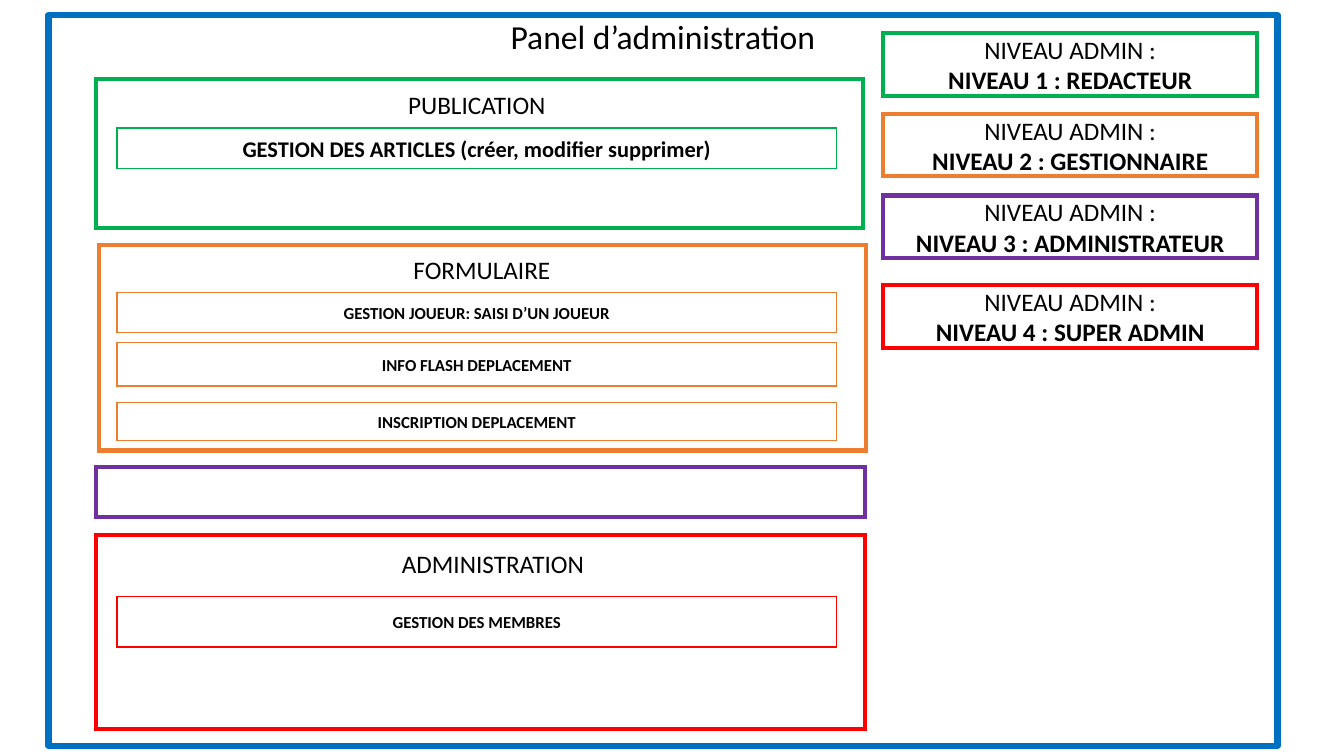
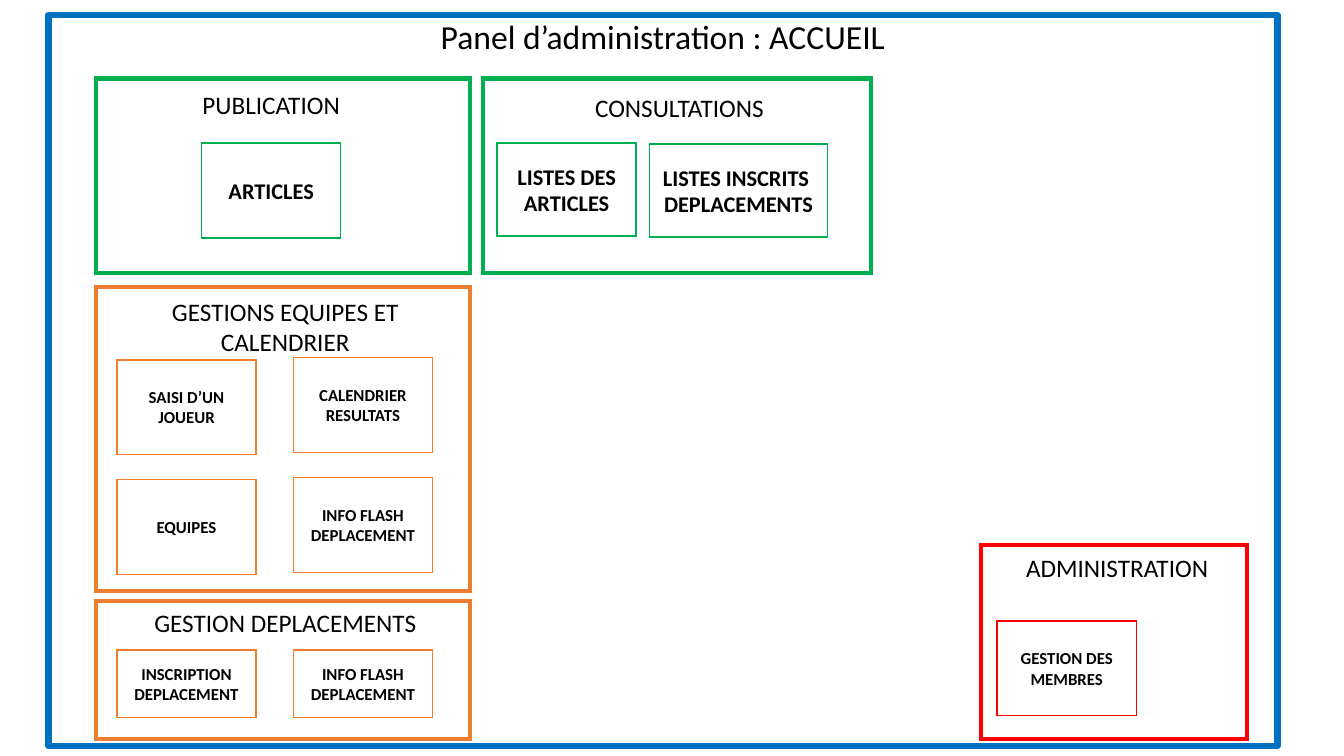
from lxml import etree
from pptx import Presentation
from pptx import util as u
from pptx.dml.color import RGBColor
from pptx.enum import shapes, text
from pptx.oxml.ns import qn

FONT = "Calibri"
BLACK, WHITE, BLUE = "000000", "FFFFFF", "0070C0"
GREEN, ORANGE, PURPLE, RED = "00B050", "ED7D31", "7030A0", "FF0000"
FRAME = (0.48, 0.15, 12.19, 7.25)
FRAME_WIDTH, PANEL_WIDTH, ITEM_WIDTH = 4.5, 3, 1

TITLE = {"size": u.Pt(24), "bold": False}
HEADING = {"size": u.Pt(18), "bold": False}
STRONG = {"size": u.Pt(18), "bold": True}
LARGE = {"size": u.Pt(16), "bold": True}
SMALL = {"size": u.Pt(12), "bold": True}

# Rows of slide 1 share a left edge and width; tiles of slide 2 share two columns
ROW_LEFT, ROW_WIDTH = 1.16, 7.14
COLUMNS, TILE_WIDTH, TILE_HEIGHT = (1.16, 2.91), 1.38, 0.94


def row(top, height):
    return ROW_LEFT, top, ROW_WIDTH, height


def tile(left, top, height=TILE_HEIGHT):
    return left, top, TILE_WIDTH, height


LEVEL_LEFT, LEVEL_WIDTH, LEVEL_HEIGHT = 8.76, 3.71, 0.62
LEVELS = [
    (GREEN, 0.33, "NIVEAU 1 : REDACTEUR"),
    (ORANGE, 1.13, "NIVEAU 2 : GESTIONNAIRE"),
    (PURPLE, 1.94, "NIVEAU 3 : ADMINISTRATEUR"),
    (RED, 2.83, "NIVEAU 4 : SUPER ADMIN"),
]

# Panel: colour, box, heading and its box, item format, items with their boxes
SLIDES = [
    {
        "title": "Panel d’administration",
        "levels": LEVELS,
        "panels": [
            (GREEN, (0.95, 0.78, 7.61, 1.48), "PUBLICATION", row(0.84, 0.4), LARGE, [
                ("GESTION DES ARTICLES (créer, modifier supprimer)", row(1.27, 0.4))]),
            (ORANGE, (0.98, 2.43, 7.61, 2.04), "FORMULAIRE", (3.1, 2.47, 3.36, 0.4), SMALL, [
                ("GESTION JOUEUR: SAISI D’UN JOUEUR", row(2.9, 0.4)),
                ("INFO FLASH DEPLACEMENT", row(3.4, 0.43)),
                ("INSCRIPTION DEPLACEMENT", row(3.99, 0.38))]),
            (PURPLE, (0.95, 4.63, 7.63, 0.5), None, None, SMALL, []),
            (RED, (0.95, 5.31, 7.63, 1.92), "ADMINISTRATION", (3.21, 5.39, 3.36, 0.4), SMALL, [
                ("GESTION DES MEMBRES", row(5.92, 0.5))]),
        ],
    },
    {
        "title": "Panel d’administration : ACCUEIL",
        "levels": [],
        "panels": [
            (GREEN, (0.95, 0.78, 3.71, 1.93), "PUBLICATION", (1.16, 0.84, 3.06, 0.4), LARGE, [
                ("ARTICLES", tile(2, 1.42))]),
            (RED, (9.73, 5.41, 2.64, 1.92), "ADMINISTRATION", (10.01, 5.43, 2.14, 0.4), SMALL, [
                ("GESTION DES MEMBRES", tile(9.89, 6.16))]),
            (ORANGE, (0.95, 2.85, 3.71, 3.01), "GESTIONS EQUIPES ET CALENDRIER",
             (1.15, 2.89, 3.36, 0.71), SMALL, [
                ("SAISI D’UN JOUEUR", tile(COLUMNS[0], 3.57)),
                ("CALENDRIER\nRESULTATS", tile(COLUMNS[1], 3.55)),
                ("EQUIPES", tile(COLUMNS[0], 4.76)),
                ("INFO FLASH DEPLACEMENT", tile(COLUMNS[1], 4.74))]),
            (ORANGE, (0.95, 5.96, 3.71, 1.37), "GESTION DEPLACEMENTS",
             (1.15, 5.98, 3.36, 0.29), SMALL, [
                ("INSCRIPTION DEPLACEMENT", tile(COLUMNS[0], 6.45, 0.67)),
                ("INFO FLASH DEPLACEMENT", tile(COLUMNS[1], 6.45, 0.67))]),
            (GREEN, (4.79, 0.78, 3.85, 1.93), "CONSULTATIONS", (5.21, 0.87, 3.06, 0.4), LARGE, [
                ("LISTES DES ARTICLES", tile(4.93, 1.42, 0.92)),
                ("LISTES INSCRITS \nDEPLACEMENTS", (6.44, 1.43, 1.77, 0.92))]),
        ],
    },
]


def rgb(value):
    return RGBColor.from_string(value)


def inches(box):
    return [u.Inches(length) for length in box]


def write(shape, lines, anchor):
    """Write centred paragraphs from (wording, font format) pairs."""
    frame = shape.text_frame
    frame.word_wrap = True
    frame.vertical_anchor = anchor
    for index, (wording, style) in enumerate(lines):
        paragraph = frame.paragraphs[0] if index == 0 else frame.add_paragraph()
        paragraph.alignment = text.PP_ALIGN.CENTER
        font_run = paragraph.add_run()
        font_run.text = wording
        for name, value in {"name": FONT, **style}.items():
            setattr(font_run.font, name, value)
        font_run.font.color.rgb = rgb(BLACK)


def add_box(slide, box, colour, width, lines=(), anchor=text.MSO_ANCHOR.MIDDLE, join="miter"):
    shape = slide.shapes.add_shape(shapes.MSO_SHAPE.RECTANGLE, *inches(box))
    shape.shadow.inherit = False
    shape.fill.solid()
    shape.fill.fore_color.rgb = rgb(WHITE)
    shape.line.color.rgb = rgb(colour)
    shape.line.width = u.Pt(width)
    etree.SubElement(shape._element.spPr.find(qn("a:ln")), qn(f"a:{join}"))
    write(shape, lines, anchor)
    return shape


def add_frame(slide, title):
    frame = add_box(slide, FRAME, BLUE, FRAME_WIDTH, [(title, TITLE)],
                    text.MSO_ANCHOR.TOP, "round")
    frame.fill.background()
    frame.text_frame.paragraphs[0].line_spacing = 0.9


def add_panel(slide, colour, box, heading, heading_box, style, items):
    add_box(slide, box, colour, PANEL_WIDTH)
    if heading:
        label = slide.shapes.add_textbox(*inches(heading_box))
        write(label, [(heading, HEADING)], text.MSO_ANCHOR.TOP)
    for wording, item_box in items:
        lines = [(line, style) for line in wording.split("\n")]
        add_box(slide, item_box, colour, ITEM_WIDTH, lines)


def add_level(slide, colour, top, name):
    add_box(slide, (LEVEL_LEFT, top, LEVEL_WIDTH, LEVEL_HEIGHT), colour, PANEL_WIDTH,
            [("NIVEAU ADMIN :", HEADING), (name, STRONG)])


def main():
    presentation = Presentation()
    presentation.slide_width = u.Inches(13.33)
    presentation.slide_height = u.Inches(7.5)
    for content in SLIDES:
        slide = presentation.slides.add_slide(presentation.slide_layouts[6])
        add_frame(slide, content["title"])
        for panel in content["panels"]:
            add_panel(slide, *panel)
        for level in content["levels"]:
            add_level(slide, *level)
    presentation.save("out.pptx")


if __name__ == "__main__":
    main()
